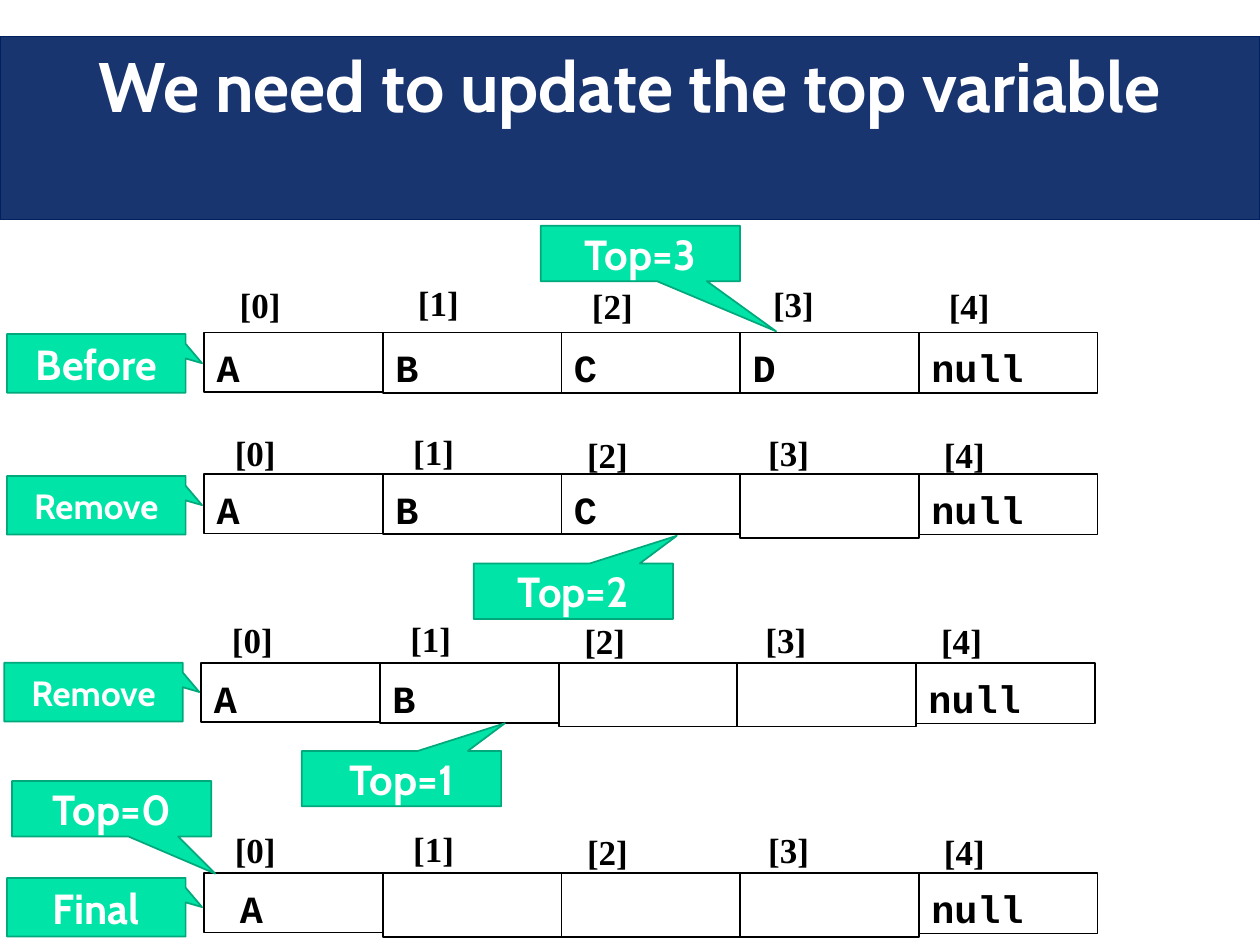
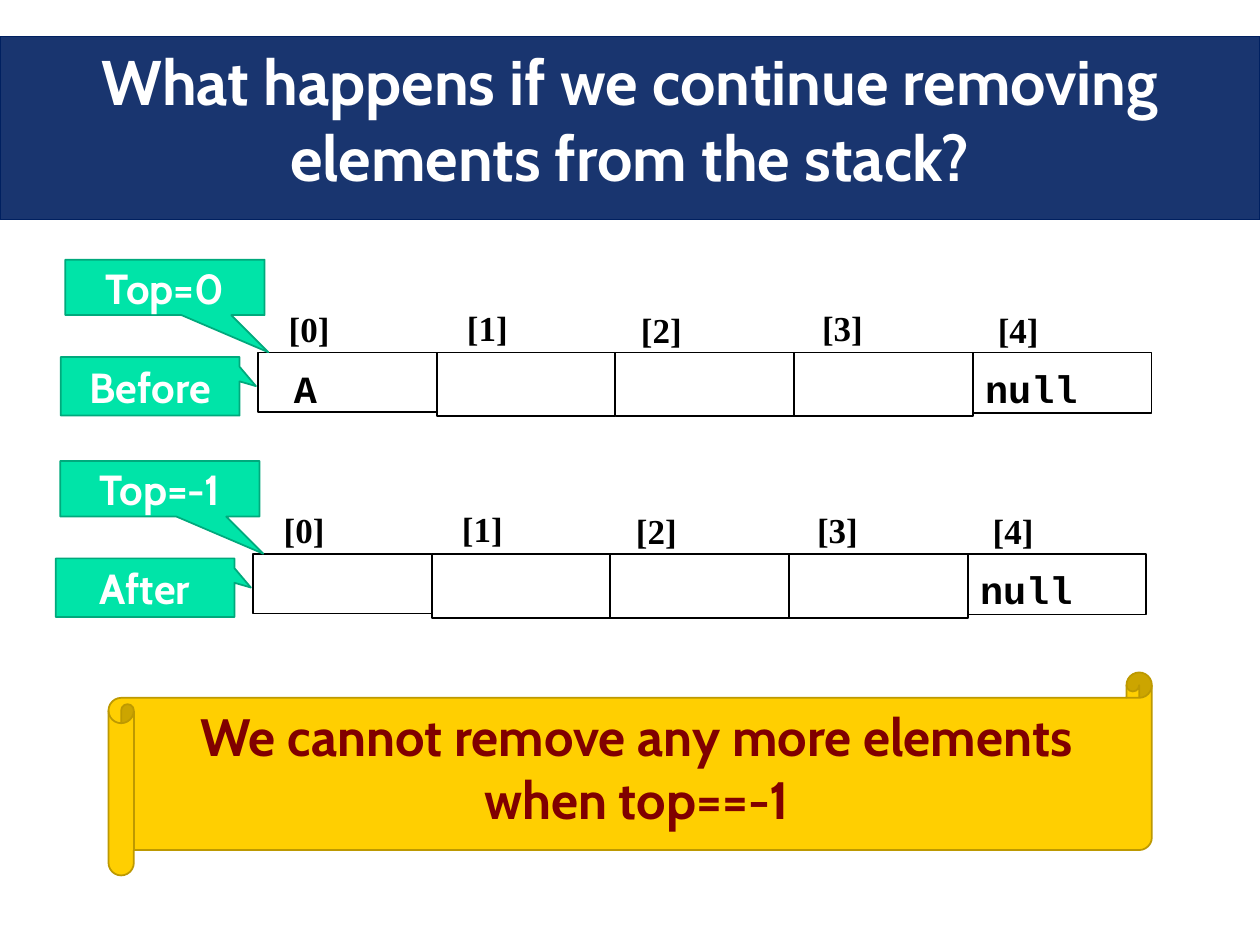
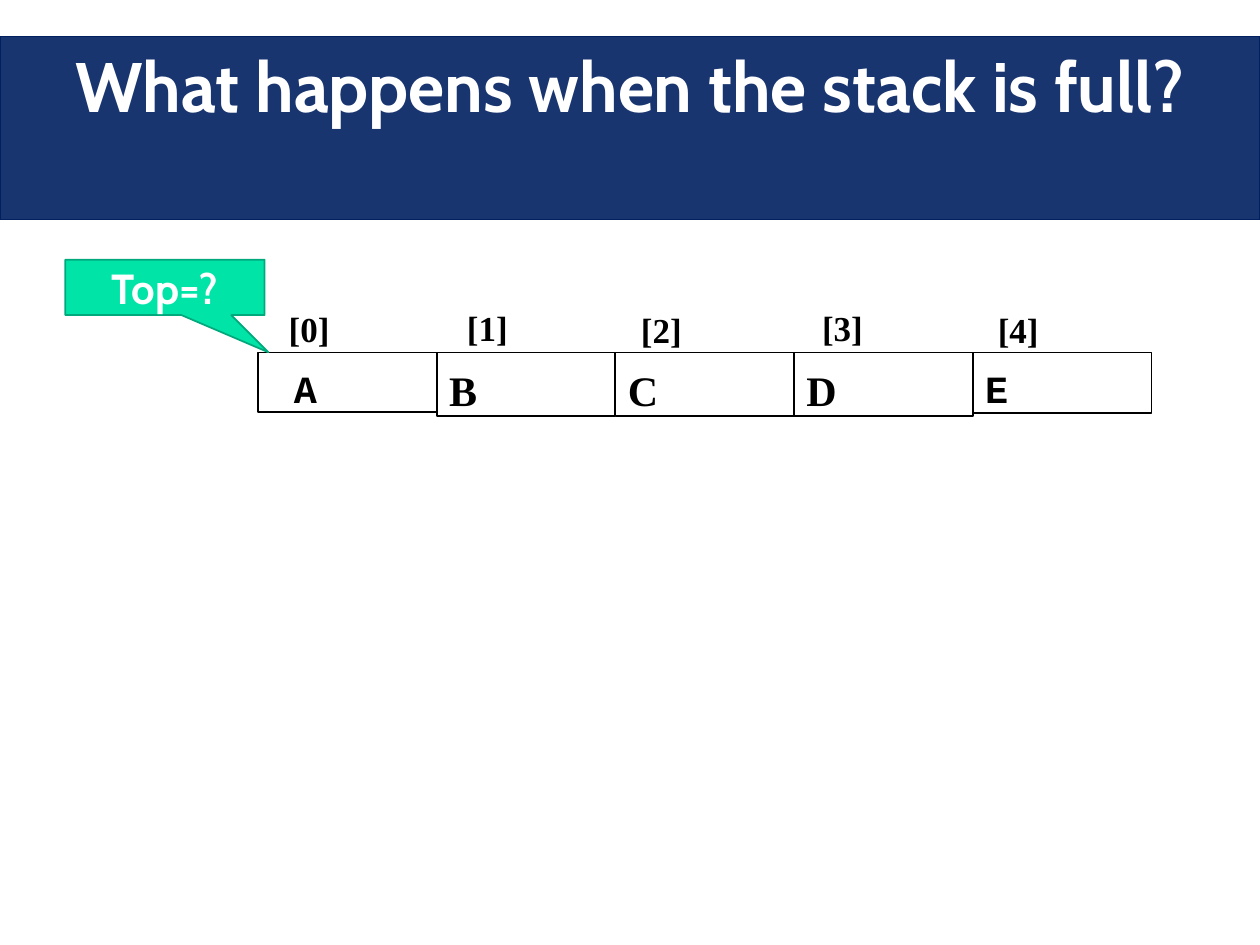
import dataclasses

import lxml.etree
import pptx
import pptx.dml.color
import pptx.enum.shapes
import pptx.enum.text
import pptx.oxml.ns
import pptx.util

Pt = pptx.util.Pt
SHAPES = pptx.enum.shapes.MSO_SHAPE
ALIGN = pptx.enum.text.PP_ALIGN
ANCHOR = pptx.enum.text.MSO_ANCHOR


@dataclasses.dataclass(frozen=True)
class Theme:
    navy: str = "002060"
    white: str = "FFFFFF"
    black: str = "000000"
    green: str = "00E4A8"
    green_edge: str = "00A97C"
    gold: str = "FFCF01"
    gold_edge: str = "BD9901"
    maroon: str = "800000"
    heading_font: str = "Cabin"
    code_font: str = "Courier New"
    index_font: str = "Times New Roman"
    title_size: int = 40
    long_title_size: int = 36
    notice_size: int = 30
    callout_size: int = 24
    small_callout_size: int = 20
    letter_size: int = 24
    code_size: int = 22
    index_size: int = 20


@dataclasses.dataclass(frozen=True)
class Cell:
    text: str = ""
    font: str = "Courier New"
    size: int = 22
    indent: float = 0


THEME = Theme()
PAGE_WIDTH, PAGE_HEIGHT = 720, 540
CELL_WIDTH = 102.1
INDEX_OFFSETS = [(10.4, 0), (112.3, -0.7), (211.7, 0.7), (315.2, -0.3), (415.6, 0.7)]
SIDE_TAIL = (0.592, -0.002)
UP_TAIL = (0.519, -0.999)
DOWN_TAIL = (0.519, 1.17)
EMPTY = Cell()
NULL = Cell("null")
INDENTED_A = Cell("A", indent=13.2)


def rgb(value):
    return pptx.dml.color.RGBColor.from_string(value)


def write(box, text, font, size, color, align=ALIGN.LEFT, anchor=ANCHOR.TOP):
    frame = box.text_frame
    frame.word_wrap = True
    frame.vertical_anchor = anchor
    para = frame.paragraphs[0]
    para.alignment = align
    span = para.add_run()
    span.text = text
    span.font.name = font
    span.font.size = Pt(size)
    span.font.bold = True
    span.font.color.rgb = rgb(color)


def add_outlined(page, kind, box, fill, edge, width=1):
    shape = page.shapes.add_shape(kind, *[Pt(length) for length in box])
    shape.shadow.inherit = False
    if fill:
        shape.fill.solid()
        shape.fill.fore_color.rgb = rgb(fill)
    else:
        shape.fill.background()
    shape.line.color.rgb = rgb(edge)
    shape.line.width = Pt(width)
    return shape


def add_title(page, text, size=THEME.title_size):
    band = add_outlined(page, SHAPES.RECTANGLE, (0, 20.9, PAGE_WIDTH, 104.4),
                        THEME.navy, THEME.navy, 0.75)
    color = band.fill._xPr.find(".//" + pptx.oxml.ns.qn("a:srgbClr"))
    lxml.etree.SubElement(color, pptx.oxml.ns.qn("a:alpha"), val="90000")
    write(band, text, THEME.heading_font, size, THEME.white, ALIGN.CENTER)


def add_callout(page, box, text, tail, size=THEME.callout_size):
    """Tail is the tip's distance from the centre, as shares of width and height."""
    callout = add_outlined(page, SHAPES.RECTANGULAR_CALLOUT, box,
                           THEME.green, THEME.green_edge)
    for position, share in enumerate(tail):
        callout.adjustments[position] = share
    write(callout, text, THEME.heading_font, size, THEME.white,
          ALIGN.CENTER, ANCHOR.MIDDLE)


def add_cell(page, box, cell):
    shape = add_outlined(page, SHAPES.RECTANGLE, box, None, THEME.black)
    if cell.text:
        shape.text_frame.margin_top = Pt(6.8)
        shape.text_frame.margin_bottom = 0
        shape.text_frame.margin_left = Pt(7.2 + cell.indent)
        write(shape, cell.text, cell.font, cell.size, THEME.black)


def cell_height(position, cell, count):
    if position == 0:
        return 34
    if position == count - 1:
        return 34.6
    return 34.4 if cell.text and cell.font == THEME.code_font else 36.4


def add_array(page, left, top, cells, index_rise=29.4, index_shift=0):
    """Draw a row of cells with its index labels index_rise above it."""
    for position, cell in enumerate(cells):
        height = cell_height(position, cell, len(cells))
        add_cell(page, (left + position * CELL_WIDTH, top, CELL_WIDTH, height), cell)
    for position, (across, down) in enumerate(INDEX_OFFSETS):
        label = page.shapes.add_textbox(
            Pt(left + across + index_shift), Pt(top - index_rise + down),
            Pt(CELL_WIDTH), Pt(31.7))
        write(label, f"[{position}]", THEME.index_font, THEME.index_size, THEME.black)


def add_stage_label(page, left, top, text, drop, size=THEME.callout_size):
    add_callout(page, (left - 112.7, top + drop, CELL_WIDTH, 33.5), text, SIDE_TAIL, size)


def add_top_label(page, left, top, text, offset=(-110.2, -53.1), tail=DOWN_TAIL):
    """Place the Top value at an offset from the array's corner."""
    across, down = offset
    add_callout(page, (left + across, top + down, 113.9, 31.7), text, tail)


def add_notice(page, box, text):
    scroll = add_outlined(page, SHAPES.HORIZONTAL_SCROLL, box, THEME.gold, THEME.gold_edge)
    write(scroll, text, THEME.heading_font, THEME.notice_size, THEME.maroon, ALIGN.CENTER)


def build_update_page(page):
    add_title(page, "We need to update the top variable")
    a, b, c, d = [Cell(letter) for letter in "ABCD"]
    left, small = 116.7, THEME.small_callout_size

    top = 190
    add_array(page, left, top, [a, b, c, d, NULL], 31.7, 2.8)
    add_stage_label(page, left, top, "Before", 0.9)
    add_top_label(page, left, top, "Top=3", (192.3, -61), (0.681, 1.404))

    top = 270.9
    add_array(page, left, top, [a, b, c, EMPTY, NULL], 27.6)
    add_stage_label(page, left, top, "Remove", 1.1, small)
    add_top_label(page, left, top, "Top=2", (154, 51.1), UP_TAIL)

    top = 378.8
    add_array(page, left - 1.6, top, [a, b, EMPTY, EMPTY, NULL], 28.8)
    add_stage_label(page, left - 1.6, top, "Remove", 0, small)
    add_top_label(page, left - 1.6, top, "Top=1", (57.4, 50.3), UP_TAIL)

    top = 498.9
    add_array(page, left, top, [INDENTED_A, EMPTY, EMPTY, EMPTY, NULL], 28.8)
    add_stage_label(page, left, top, "Final", 2.8)
    add_top_label(page, left, top, "Top=0", (-109.8, -52.6))


def build_empty_stack_page(page):
    add_title(page, "What happens if we continue removing elements from the stack?",
              THEME.long_title_size)
    stages = [
        (147.5, 201.5, INDENTED_A, "Before", "Top=0"),
        (144.6, 316.6, EMPTY, "After", "Top=-1"),
    ]
    for left, top, first, stage, value in stages:
        add_array(page, left, top, [first, EMPTY, EMPTY, EMPTY, NULL])
        add_stage_label(page, left, top, stage, 2.5)
        add_top_label(page, left, top, value)
    add_notice(page, (62, 384.3, 596.2, 116),
               "We cannot remove any more elements when top==-1")


def build_full_stack_page(page):
    add_title(page, "What happens when the stack is full?")
    left, top = 147.5, 201.5
    letters = [Cell(letter, THEME.index_font, THEME.letter_size) for letter in "BCD"]
    add_array(page, left, top, [INDENTED_A, *letters, Cell("E")])
    add_top_label(page, left, top, "Top=?")


def main():
    deck = pptx.Presentation()
    deck.slide_width, deck.slide_height = Pt(PAGE_WIDTH), Pt(PAGE_HEIGHT)
    for build in (build_update_page, build_empty_stack_page, build_full_stack_page):
        build(deck.slides.add_slide(deck.slide_layouts[6]))
    deck.save("out.pptx")


if __name__ == "__main__":
    main()
